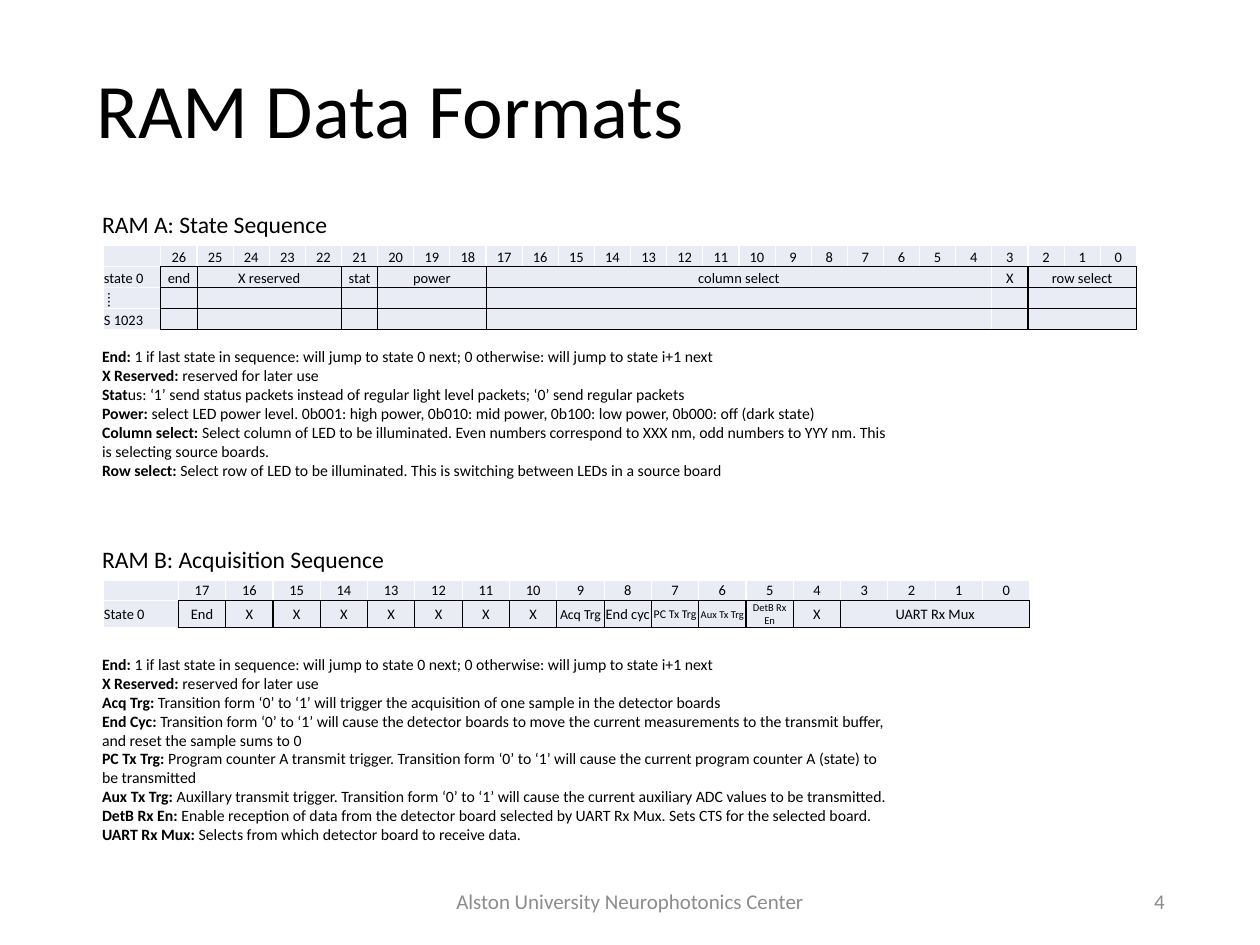
from lxml import etree
from pptx import Presentation
from pptx.dml.color import RGBColor
from pptx.enum.text import MSO_ANCHOR, PP_ALIGN
from pptx.oxml.ns import qn
from pptx.util import Cm, Pt

LEFT, MID, RIGHT = PP_ALIGN.LEFT, PP_ALIGN.CENTER, PP_ALIGN.RIGHT
TOP, HALF, BASE = MSO_ANCHOR.TOP, MSO_ANCHOR.MIDDLE, MSO_ANCHOR.BOTTOM
BLACK, WHITE, GRAY, PALE = "000000", "FFFFFF", "8C8C8C", "E9EBF5"


def paint(color, tone):
    color.rgb = RGBColor.from_string(tone)


def write(par, text, tone=BLACK, **form):
    run = par.add_run()
    run.text = text
    for key, value in {"name": "Calibri", **form}.items():
        setattr(run.font, key, value)
    paint(run.font.color, tone)


deck = Presentation()
deck.slide_width, deck.slide_height = Cm(33.83), Cm(25.37)
slide = deck.slides.add_slide(deck.slide_layouts[6])

# Notes below the tables: bold lead, plain rest
shared = [
    ("End: ", "1 if last state in sequence: will jump to state 0 next; 0 otherwise: will jump to state i+1 next"),
    ("X Reserved: ", "reserved for later use"),
]
state_notes = shared + [
    ("Stat", "us: ‘1’ send status packets instead of regular light level packets; ‘0’ send regular packets"),
    ("Power: ", "select LED power level. 0b001: high power, 0b010: mid power, 0b100: low power, "
     "0b000: off (dark state)"),
    ("Column select: ", "Select column of LED to be illuminated. Even numbers correspond to XXX nm, "
     "odd numbers to YYY nm. This is selecting source boards."),
    ("Row select: ", "Select row of LED to be illuminated. This is switching between LEDs in a source board"),
]
trigger_notes = shared + [
    ("Acq Trg: ", "Transition form ‘0’ to ‘1’ will trigger the acquisition of one sample in the detector boards"),
    ("End Cyc: ", "Transition form ‘0’ to ‘1’ will cause the detector boards to move the current "
     "measurements to the transmit buffer, and reset the sample sums to 0"),
    ("PC Tx Trg: ", "Program counter A transmit trigger. Transition form ‘0’ to ‘1’ will cause the "
     "current program counter A (state) to be transmitted"),
    ("Aux Tx Trg: ", "Auxillary transmit trigger. Transition form ‘0’ to ‘1’ will cause the current "
     "auxiliary ADC values to be transmitted."),
    ("DetB Rx En: ", "Enable reception of data from the detector board selected by UART Rx Mux. "
     "Sets CTS for the selected board."),
    ("UART Rx Mux: ", "Selects from which detector board to receive data."),
]

# Text boxes: place, size, tone, alignment, anchor, spacing, lines
texts = [
    ((2.34, 1.35, 29.18, 3.4), 58.6, BLACK, LEFT, HALF, 0.9, [("", "RAM Data Formats")]),
    ((2.49, 5.51, 6.88, 1.02), 18, BLACK, LEFT, TOP, 1, [("", "RAM A: State Sequence")]),
    ((2.49, 9.19, 21.84, 3.84), 12, BLACK, LEFT, TOP, 1, state_notes),
    ((2.49, 14.5, 11.07, 1.02), 18, BLACK, LEFT, TOP, 1, [("", "RAM B: Acquisition Sequence")]),
    ((2.49, 17.45, 21.84, 5.38), 12, BLACK, LEFT, TOP, 1, trigger_notes),
    ((11.2, 23.52, 11.43, 1.35), 16, GRAY, MID, HALF, 1,
     [("", "Alston University Neurophotonics Center")]),
    ((23.9, 23.52, 7.62, 1.35), 16, GRAY, RIGHT, HALF, 1, [("", "4")]),
]
for place, size, tone, align, anchor, space, lines in texts:
    frame = slide.shapes.add_textbox(*map(Cm, place)).text_frame
    frame.word_wrap = True
    frame.vertical_anchor = anchor
    for i, (lead, rest) in enumerate(lines):
        par = frame.paragraphs[0] if i == 0 else frame.add_paragraph()
        par.alignment, par.line_spacing = align, space
        if lead:
            write(par, lead, tone, size=Pt(size), bold=True)
        write(par, rest, tone, size=Pt(size), bold=False)

# Bit fields: name and number of bits
state_fields = [("end", 1), ("X reserved", 4), ("stat", 1), ("power", 3),
                ("column select", 14), ("X", 1), ("row select", 3)]
trigger_fields = [("End", 1)] + [("X", 1)] * 7 + [
    ("Acq Trg", 1), ("End cyc", 1), ("PC Tx Trg", 1), ("Aux Tx Trg", 1),
    ("DetB Rx En", 1), ("X", 1), ("UART Rx Mux", 4)]
small = {"Acq Trg": 10.5, "PC Tx Trg": 9, "Aux Tx Trg": 8, "DetB Rx En": 8}

# Tables: top, label width, bit width, row heights, labels, fields, anchor, thin edges, white edges
grids = [
    (6.6, 1.55, 0.97, [0.56] * 4, ["state 0", " ⁞", "S 1023"], state_fields, BASE, {2, 6, 7, 10}, {24}),
    (15.57, 2.02, 1.27, [0.56, 0.71], ["State 0"], trigger_fields, HALF, set(), set()),
]
for top, head, step, highs, labels, fields, anchor, thin, pale in grids:
    bits = sum(span for name, span in fields)
    table = slide.shapes.add_table(len(highs), bits + 1, Cm(2.77), Cm(top),
                                   Cm(head + bits * step), Cm(sum(highs))).table
    table.first_row = table.horz_banding = False
    for row, high in zip(table.rows, highs):
        row.height = Cm(high)
    for i, column in enumerate(table.columns):
        column.width = Cm(step if i else head)

    rows = [[("", 1)] + [(str(bit), 1) for bit in reversed(range(bits))]]
    for i, label in enumerate(labels):
        rows.append([(label, 1)] + [(name if i == 0 else "", span) for name, span in fields])

    for r, row in enumerate(rows):
        start = 0
        for name, span in row:
            end = start + span
            if span > 1:
                table.cell(r, start).merge(table.cell(r, end - 1))
            for c in range(start, end):
                cell = table.cell(r, c)
                form = {"margin_left": Cm(0.02), "margin_right": Cm(0.02), "margin_top": Cm(0.02),
                        "margin_bottom": 0, "vertical_anchor": anchor}
                for key, value in form.items():
                    setattr(cell, key, value)

                # Borders on the outline of the field
                edges = {}
                if c == start:
                    edges["L"] = start
                if c in (start, end - 1):
                    edges["R"] = end
                props = cell._tc.get_or_add_tcPr()
                for side in "LRTB":
                    width = 1
                    if side in "LR":
                        if side not in edges:
                            continue
                        edge = edges[side]
                        tone = WHITE if r == 0 or edge == 0 or edge in pale else BLACK
                        width = 0.5 if r and edge in thin else 1
                    else:
                        tone = WHITE if c == 0 or (r == 0 and side == "T") else BLACK
                    line = etree.SubElement(props, qn("a:ln" + side), w=str(Pt(width)))
                    fill = etree.SubElement(line, qn("a:solidFill"))
                    etree.SubElement(fill, qn("a:srgbClr"), val=tone)
                cell.fill.solid()
                paint(cell.fill.fore_color, PALE)

                # Field name, or a small empty line
                par = cell.text_frame.paragraphs[0]
                par.alignment = MID if c else LEFT
                if name and c == start:
                    write(par, name, size=Pt(small.get(name, 11)))
                else:
                    etree.SubElement(par._p, qn("a:endParaRPr"), sz="1100")
            start = end

deck.save("out.pptx")
